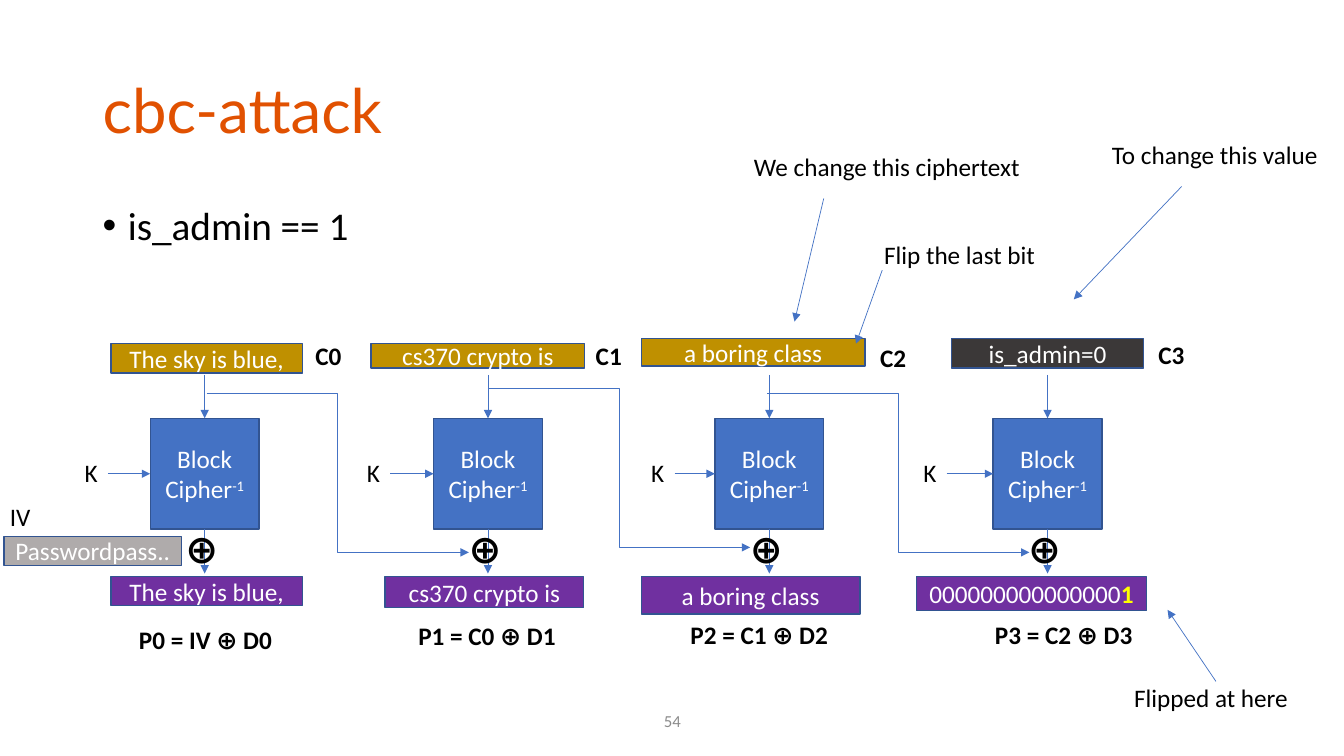
from dataclasses import dataclass
from lxml.etree import SubElement
from pptx import Presentation
from pptx.dml.color import RGBColor
from pptx.enum.shapes import MSO_CONNECTOR, MSO_SHAPE
from pptx.enum.text import MSO_ANCHOR, MSO_AUTO_SIZE, PP_ALIGN
from pptx.oxml.ns import qn
from pptx.util import Inches, Pt


@dataclass(frozen=True)
class Theme:
    font: str = "Calibri"
    title_font: str = "Lato"
    title: str = "E15101"
    text: str = "000000"
    inverse: str = "FFFFFF"
    muted: str = "8C8C8C"
    block: str = "4472C4"
    border: str = "325491"
    cipher: str = "BF9000"
    target: str = "3B3838"
    plain: str = "7030A0"
    iv: str = "AFABAB"
    flipped: str = "FFFF00"
    title_size: int = 44
    body_size: int = 28
    label_size: int = 18
    number_size: int = 12


@dataclass(frozen=True)
class Stage:
    left: float
    key_dx: float
    cipher: str
    cipher_box: tuple
    plain: str
    plain_box: tuple
    name_at: tuple
    formula: str
    formula_at: tuple
    feed_at: tuple = ()
    cipher_fill: str = Theme.cipher
    flipped: str = ""


T = Theme()
BLOCK_TOP, BLOCK_W, BLOCK_H = 4.15, 1.08, 1.1
STAGES = [
    Stage(1.49, -0.75, "The sky is blue,", (-0.39, -0.74, 1.9, 0.29),
          "The sky is blue,", (-0.39, 1.57, 1.9, 0.29), (1.54, -0.82),
          "P0 = IV ⊕ D0", (-0.21, 1.99), (0.56, -0.25)),
    Stage(4.3, -0.76, "cs370 crypto is", (-0.62, -0.74, 2.12, 0.24),
          "cs370 crypto is", (-0.48, 1.57, 1.97, 0.31), (1.51, -0.82),
          "P1 = C0 ⊕ D1", (-0.25, 1.96), (0.54, -0.3)),
    Stage(7.09, -0.73, "a boring class", (-0.73, -0.79, 2.22, 0.27),
          "a boring class", (-0.73, 1.57, 2.17, 0.37), (1.54, -0.8),
          "P2 = C1 ⊕ D2", (-0.34, 1.94), (0.52, -0.25)),
    Stage(9.85, -0.79, "is_admin=0", (-0.41, -0.79, 1.9, 0.29),
          "000000000000000", (-0.76, 1.57, 2.28, 0.34), (1.54, -0.83),
          "P3 = C2 ⊕ D3", (-0.08, 1.94), cipher_fill=T.target, flipped="1"),
]
NOTES = [
    ("To change this value", (10.93, 1.33, 2.27), (11.72, 1.85, 10.65, 2.97)),
    ("We change this ciphertext", (7.38, 1.45, 2.87), (8.17, 1.97, 7.88, 3.19)),
    ("Flip the last bit", (8.67, 2.33, 1.72), (8.75, 2.68, 8.49, 3.41)),
    ("Flipped at here", (11.15, 6.72, 1.93), (12.06, 6.76, 11.58, 6.05)),
]


def write(tf, text, size, color, bold=None, font=T.font, align=None, suffix=""):
    tf.text = text
    if suffix:
        tf.paragraphs[-1].add_run().text = suffix
    for p in tf.paragraphs:
        p.alignment = align
        for r in p.runs:
            r.font.name = font
            r.font.size = Pt(size)
            r.font.bold = bold
            r.font.color.rgb = RGBColor.from_string(color)
    return tf.paragraphs[-1].runs[-1]


def add_text(s, box, text, size=T.label_size, color=T.text, **style):
    sp = s.shapes.add_textbox(*map(Inches, box))
    sp.text_frame.word_wrap = True
    write(sp.text_frame, text, size, color, **style)
    return sp


def add_label(s, x, y, w, text, bold=None):
    tf = add_text(s, (x, y, w, 0.4), text, bold=bold).text_frame
    tf.word_wrap = False
    tf.auto_size = MSO_AUTO_SIZE.SHAPE_TO_FIT_TEXT


def add_box(s, box, fill, text, suffix=""):
    sp = s.shapes.add_shape(MSO_SHAPE.RECTANGLE, *map(Inches, box))
    sp.shadow.inherit = False
    sp.fill.solid()
    sp.fill.fore_color.rgb = RGBColor.from_string(fill)
    sp.line.color.rgb = RGBColor.from_string(T.border)
    sp.line.width = Pt(1)
    sp.text_frame.vertical_anchor = MSO_ANCHOR.MIDDLE
    r = write(sp.text_frame, text, T.label_size, T.inverse,
              align=PP_ALIGN.CENTER, suffix=suffix)
    return sp, r


def add_arrow(s, points, kind=MSO_CONNECTOR.STRAIGHT):
    cx = s.shapes.add_connector(kind, *map(Inches, points))
    cx.line.width = Pt(0.5)
    cx.line.color.rgb = RGBColor.from_string(T.block)
    SubElement(cx.line._get_or_add_ln(), qn("a:tailEnd"), type="triangle")
    SubElement(cx._element.spPr, qn("a:effectLst"))
    return cx


def add_heading(s, x, y, w):
    title = add_text(s, (x, y, w, 1.45), "cbc-attack", T.title_size, T.title,
                     font=T.title_font)
    title.text_frame.vertical_anchor = MSO_ANCHOR.MIDDLE
    body = add_text(s, (x, y + 1.6, w, 4.76), "is_admin == 1", T.body_size)
    for sp in (title, body):
        sp.text_frame.paragraphs[0].line_spacing = 0.9
    p = body.text_frame.paragraphs[0]
    p.space_before = Pt(10)
    pPr = p._p.get_or_add_pPr()
    pPr.set("marL", str(Inches(0.25)))
    pPr.set("indent", str(Inches(-0.25)))
    SubElement(pPr, qn("a:buFont"), typeface="Arial")
    SubElement(pPr, qn("a:buChar"), char="•")


def add_stage(s, x, y, index, stage):
    def place(box):
        return (x + box[0], y + box[1], *box[2:])

    mid_x, mid_y = x + BLOCK_W / 2, y + BLOCK_H / 2
    block, power = add_box(s, (x, y, BLOCK_W, BLOCK_H), T.block,
                           "Block\nCipher", "-1")
    power._r.get_or_add_rPr().set("baseline", "30000")
    add_arrow(s, (mid_x, y - 0.43, mid_x, y)).end_connect(block, 0)
    add_arrow(s, (mid_x, y + BLOCK_H, mid_x, y + 1.54)).begin_connect(block, 2)
    add_box(s, place(stage.cipher_box), stage.cipher_fill, stage.cipher)
    bit = add_box(s, place(stage.plain_box), T.plain, stage.plain, stage.flipped)[1]
    if stage.flipped:
        bit.font.bold = True
        bit.font.color.rgb = RGBColor.from_string(T.flipped)

    key_x = x + stage.key_dx
    add_label(s, key_x, y + 0.34, 0.33, "K")
    add_arrow(s, (key_x + 0.33, mid_y, x, mid_y)).end_connect(block, 1)
    add_text(s, (x + 0.25, y + 1, 0.54, 0.57), "⊕", T.body_size, bold=True)
    add_label(s, *place(stage.name_at), 0.46, f"C{index}", True)
    add_label(s, *place(stage.formula_at), 1.62 if index else 1.58,
              stage.formula, True)
    if stage.feed_at:
        fx, fy = place(stage.feed_at)
        add_arrow(s, (fx, fy, fx + 2.6, fy + 1.58), MSO_CONNECTOR.ELBOW)


def add_iv(s, x, y):
    add_label(s, x, y, 0.41, "IV")
    add_box(s, (x + 0.04, y + 0.4, 1.76, 0.29), T.iv, "Passwordpass..")


def add_note(s, box, text, arrow):
    add_arrow(s, arrow)
    add_label(s, *box, text)


def add_slide_number(s, box):
    sp = add_text(s, box, "54", T.number_size, T.muted, align=PP_ALIGN.CENTER)
    sp.text_frame.vertical_anchor = MSO_ANCHOR.MIDDLE


def main():
    prs = Presentation()
    prs.slide_width, prs.slide_height = Inches(13.33), Inches(7.5)
    s = prs.slides.add_slide(prs.slide_layouts[6])
    add_heading(s, 0.92, 0.4, 11.5)
    add_slide_number(s, (5.17, 6.95, 3, 0.4))
    for index, stage in enumerate(STAGES):
        add_stage(s, stage.left, BLOCK_TOP, index, stage)
    add_iv(s, 0, 4.92)
    for text, box, arrow in NOTES:
        add_note(s, box, text, arrow)
    prs.save("out.pptx")


if __name__ == "__main__":
    main()
